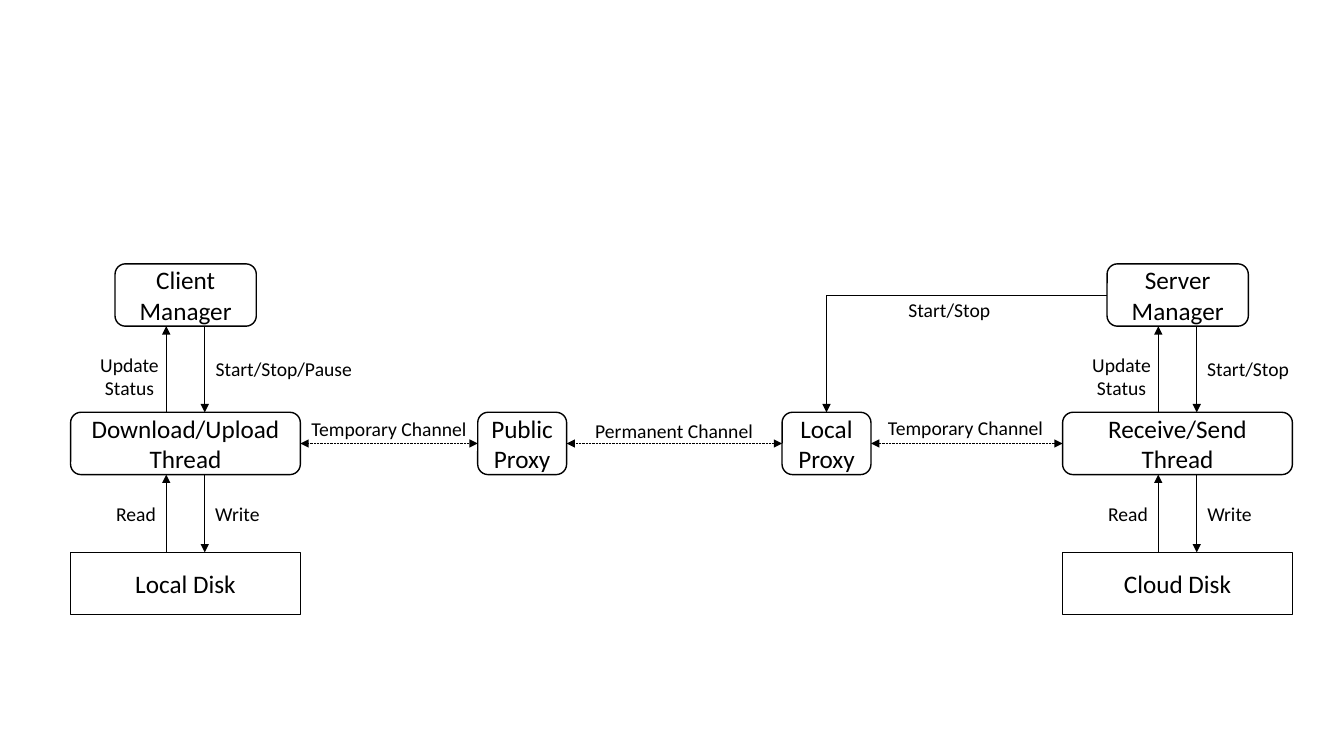
"""Draw the transfer channel between a client and a cloud server."""
from dataclasses import dataclass

from lxml import etree
from pptx import Presentation
from pptx.dml.color import RGBColor
from pptx.enum.dml import MSO_LINE
from pptx.enum.shapes import MSO_CONNECTOR, MSO_SHAPE
from pptx.enum.text import MSO_ANCHOR, MSO_AUTO_SIZE, PP_ALIGN
from pptx.oxml.ns import qn
from pptx.shapes.autoshape import Shape
from pptx.shapes.connector import Connector
from pptx.util import Cm, Pt

BLACK = RGBColor(0, 0, 0)
WHITE = RGBColor(255, 255, 255)
FONT = "Calibri"
ROUND, RECT = MSO_SHAPE.ROUNDED_RECTANGLE, MSO_SHAPE.RECTANGLE
STRAIGHT, ELBOW = MSO_CONNECTOR.STRAIGHT, MSO_CONNECTOR.ELBOW
DOTS = MSO_LINE.ROUND_DOT
MIDDLE, CENTER = MSO_ANCHOR.MIDDLE, PP_ALIGN.CENTER
GROW = MSO_AUTO_SIZE.SHAPE_TO_FIT_TEXT
TOP, LEFT, RIGHT = 0, 1, 3

HIGH = 1.57
TOP_ROW, MID_ROW, LOW_ROW = 6.65, 10.39, 13.92
UP_X, DOWN_X = 4.19, 5.16
SHIFT = 25.0


@dataclass
class Box:
    text: str
    left: float
    top: float
    width: float
    kind: int = ROUND


@dataclass
class Label:
    text: str
    left: float
    top: float
    width: float
    height: float = 0.86


@dataclass
class Side:
    left: float
    boss: str
    thread: str
    disk: str
    order: str
    span: float


SIDES = [
    Side(0, "Client Manager", "Download/Upload\nThread", "Local Disk", "Start/Stop/Pause", 3.99),
    Side(SHIFT, "Server Manager", "Receive/Send\nThread", "Cloud Disk", "Start/Stop", 2.59),
]
PROXIES = [
    Box("Public\nProxy", 12.04, MID_ROW, 2.24),
    Box("Local\nProxy", 19.71, MID_ROW, 2.24),
]
LABELS = [
    Label("Temporary Channel", 7.57, 10.39, 4.47),
    Label("Permanent Channel", 14.73, 10.44, 4.52),
    Label("Temporary Channel", 22.1, 10.36, 4.47),
    Label("Start/Stop", 22.63, 7.37, 2.59),
]

deck = Presentation()
deck.slide_width, deck.slide_height = Cm(33.87), Cm(19.05)
shapes = deck.slides.add_slide(deck.slide_layouts[6]).shapes


def write(shape: Shape, text: str, size: int) -> None:
    """Put centred black text into a shape."""
    shape.text_frame.text = text
    for line in shape.text_frame.paragraphs:
        line.alignment = CENTER
        for run in line.runs:
            run.font.name, run.font.size = FONT, Pt(size)
            run.font.color.rgb = BLACK


def draw_box(box: Box) -> Shape:
    """Draw an outlined box with its name."""
    shape = shapes.add_shape(box.kind, Cm(box.left), Cm(box.top), Cm(box.width), Cm(HIGH))
    shape.shadow.inherit = False
    shape.fill.solid()
    shape.fill.fore_color.rgb = WHITE
    shape.line.color.rgb, shape.line.width = BLACK, Pt(1)
    shape.text_frame.word_wrap = True
    shape.text_frame.vertical_anchor = MIDDLE
    write(shape, box.text, 18)
    return shape


def draw_label(label: Label) -> None:
    """Draw a small caption that does not wrap."""
    shape = shapes.add_textbox(Cm(label.left), Cm(label.top), Cm(label.width), Cm(label.height))
    shape.text_frame.word_wrap = False
    shape.text_frame.auto_size = GROW
    write(shape, label.text, 14)


def style(line: Connector, ends: tuple[str, ...]) -> None:
    """Make a connector thin, black and arrowed at the given ends."""
    line.line.color.rgb, line.line.width = BLACK, Pt(0.5)
    props = line.element.spPr
    for end in ends:
        etree.SubElement(props.get_or_add_ln(), qn(end), type="triangle")
    etree.SubElement(props, qn("a:effectLst"))


def draw_arrow(left: float, start: float, stop: float) -> None:
    """Draw an upright arrow."""
    line = shapes.add_connector(STRAIGHT, Cm(left), Cm(start), Cm(left), Cm(stop))
    style(line, ("a:tailEnd",))


def join(kind: int, first: Shape, out: int, last: Shape, into: int) -> Connector:
    """Glue a connector to two boxes."""
    line = shapes.add_connector(kind, 0, 0, 0, 0)
    line.begin_connect(first, out)
    line.end_connect(last, into)
    return line


def draw_side(side: Side) -> tuple[Shape, Shape]:
    """Draw one column and return its manager and thread."""
    left = side.left
    boss = draw_box(Box(side.boss, left + 2.9, TOP_ROW, 3.56))
    thread = draw_box(Box(side.thread, left + 1.78, MID_ROW, 5.79))
    draw_box(Box(side.disk, left + 1.78, LOW_ROW, 5.79, RECT))
    for high, low in ((TOP_ROW + HIGH, MID_ROW), (MID_ROW + HIGH, LOW_ROW)):
        draw_arrow(left + UP_X, low, high)
        draw_arrow(left + DOWN_X, high, low)
    draw_label(Label("Update\nStatus", left + 2.26, 8.76, 2.01, 1.45))
    draw_label(Label(side.order, left + DOWN_X, 8.86, side.span))
    draw_label(Label("Read", left + 2.67, 12.52, 1.52))
    draw_label(Label("Write", left + DOWN_X, 12.52, 1.65))
    return boss, thread


(_, client), (boss, server) = [draw_side(side) for side in SIDES]
public, local = [draw_box(box) for box in PROXIES]

chain = [client, public, local, server]
for first, last in zip(chain, chain[1:]):
    link = join(STRAIGHT, first, RIGHT, last, LEFT)
    link.line.dash_style = DOTS
    style(link, ("a:headEnd", "a:tailEnd"))

bend = join(ELBOW, boss, LEFT, local, TOP)
bend.element.spPr.find(qn("a:prstGeom")).set("prst", "bentConnector2")
style(bend, ("a:tailEnd",))

for label in LABELS:
    draw_label(label)

deck.save("out.pptx")
